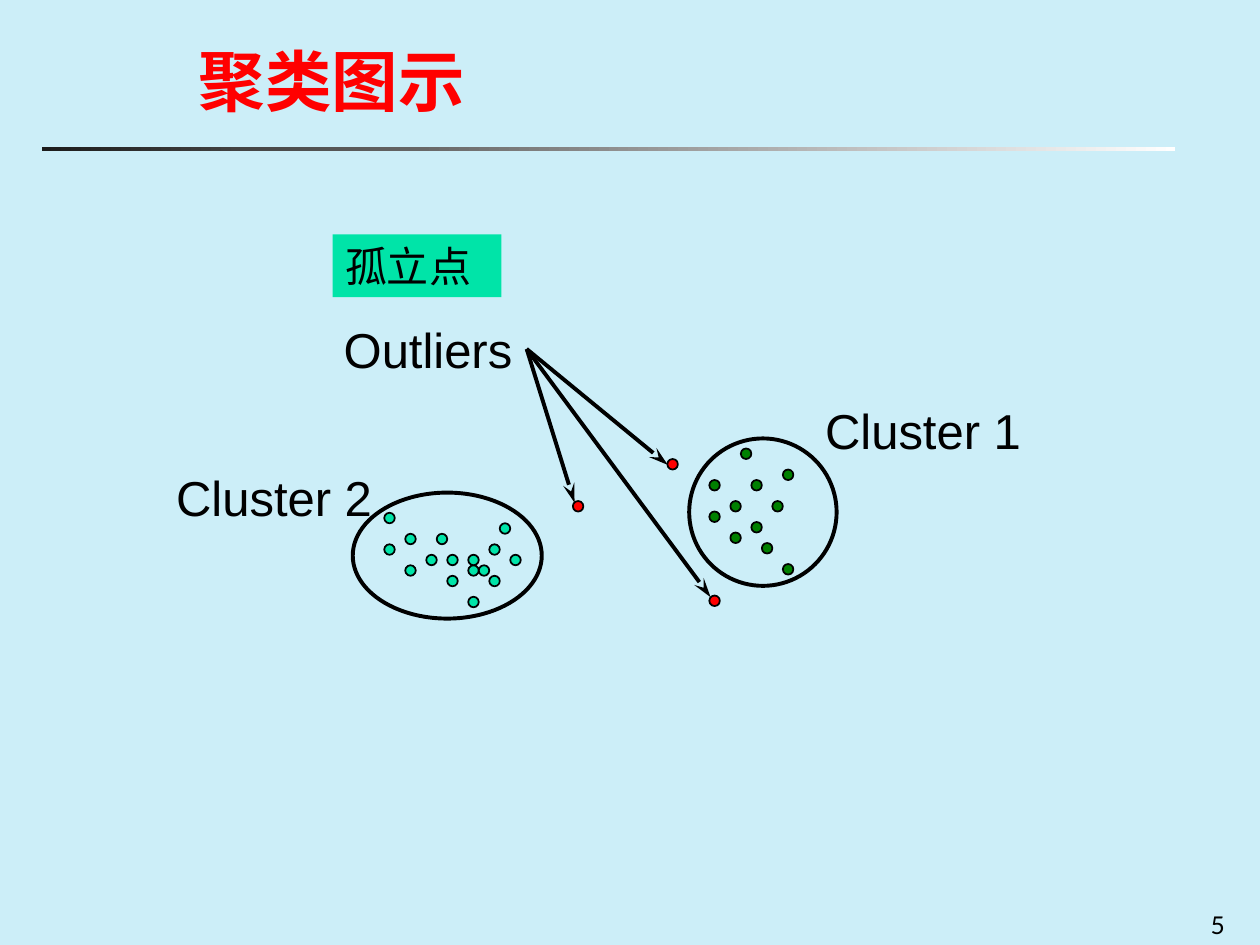
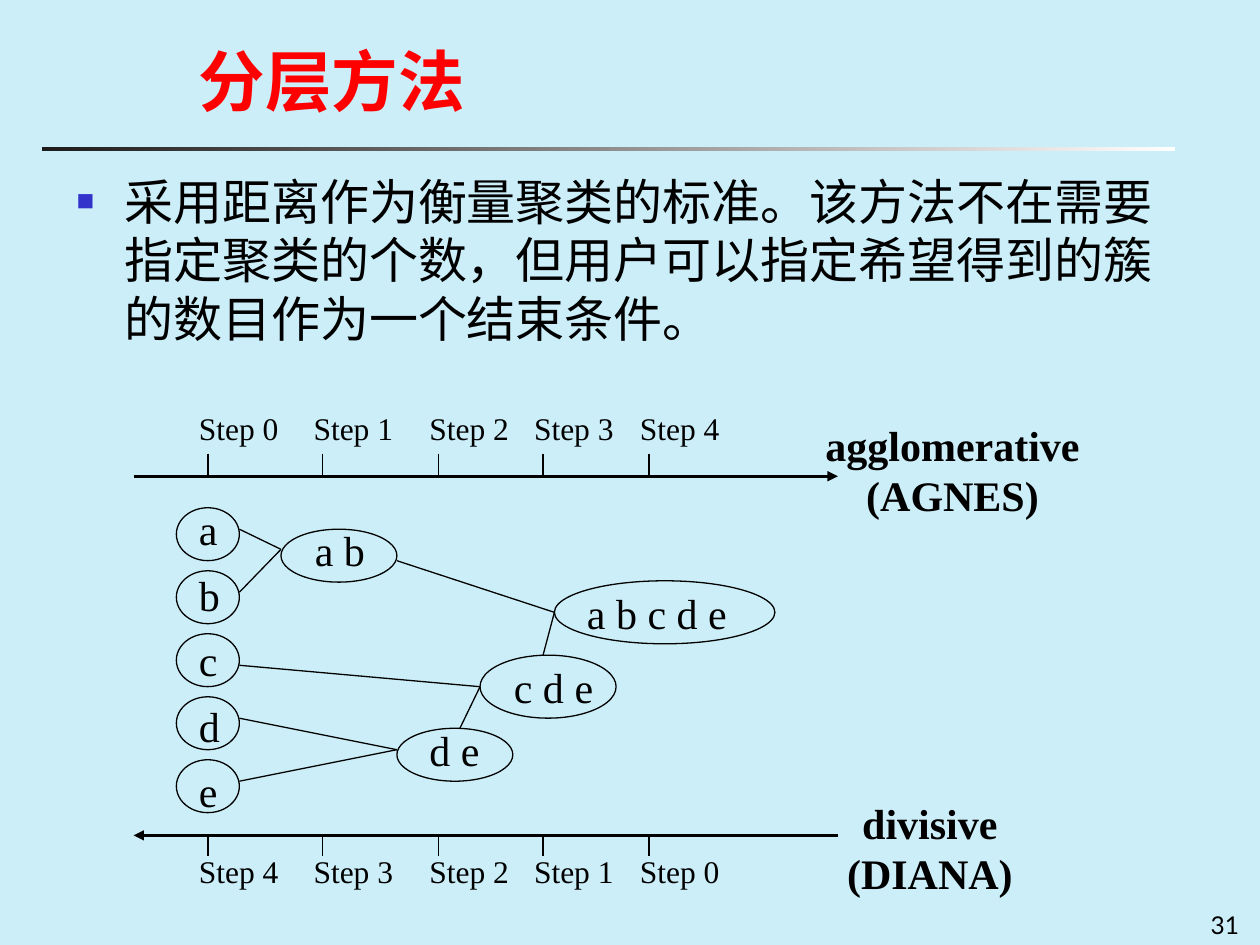
from lxml.etree import SubElement
from pptx import Presentation
from pptx.dml.color import RGBColor
from pptx.enum.shapes import MSO_CONNECTOR, MSO_SHAPE
from pptx.enum.text import MSO_ANCHOR, PP_ALIGN
from pptx.oxml.ns import qn
from pptx.util import Inches, Pt

COLORS = {
    "background": "CCEEF8",
    "title": "FF0000",
    "ink": "000000",
    "rule_start": "1C1C1C",
    "rule_end": "FFFFFF",
    "bullet": "3333CC",
    "cluster_1": "008000",
    "cluster_2": "00E4A8",
    "outlier": "FF0000",
}
CJK, SANS, SERIF, NUMBER = "Noto Sans CJK SC", "Arial", "Times New Roman", "Lato"

DOT = 1 / 12  # dot diameter, and the pitch of the dot grid
# Dots as (column, row) on the grid, counted from the origin of their group
CLUSTER_1 = [(0, 6), (2, 8), (2, 5), (4, 7), (0, 3), (4, 3), (6, 5),
             (5, 9), (7, 2), (3, 0), (7, 11)]
OUTLIERS = [(0, 14), (-4, 1), (-13, 5)]
CLUSTER_2 = [(0, 0), (0, 3), (2, 2), (2, 5), (4, 4), (6, 4), (5, 2), (8, 5),
             (8, 4), (6, 6), (10, 6), (9, 5), (10, 3), (12, 4), (11, 1), (8, 8)]

STEP_TICKS = [1.65, 2.56, 3.48, 4.31, 5.15]
# Label, its left and top, then the ellipse around it
MERGED_GROUPS = [
    ("a b", 2.4, 4.11, (2.23, 4.2, 0.92, 0.42)),
    ("d e", 3.31, 5.7, (3.15, 5.78, 0.92, 0.42)),
    ("c d e", 3.98, 5.2, (3.81, 5.2, 1.08, 0.5)),
    ("a b c d e", 4.56, 4.61, (4.4, 4.61, 1.75, 0.5)),
]
# Where each merged group is reached, and where its parts start
MERGES = {
    (2.23, 4.36): [(1.9, 4.2), (1.9, 4.7)],
    (3.15, 5.95): [(1.9, 5.7), (1.9, 6.2)],
    (3.81, 5.45): [(1.9, 5.28), (3.65, 5.78)],
    (4.4, 4.86): [(3.15, 4.45), (4.31, 5.2)],
}


def color(name):
    return RGBColor.from_string(COLORS[name])


def write(box, text, size, font, ink="ink", bold=False, align=PP_ALIGN.LEFT):
    """Fill a shape with text; each line of text becomes a paragraph."""
    box.text_frame.text = text
    for para in box.text_frame.paragraphs:
        para.alignment = align
        para.line_spacing = Pt(1.2 * size)
        for span in para.runs:
            span.font.name = font
            span.font.size = Pt(size)
            span.font.bold = bold
            span.font.color.rgb = color(ink)
            east_asian = SubElement(span.font._element, qn("a:ea"))
            east_asian.set("typeface", CJK)


def add_text(page, area, text, size, font, wrap=False, **style):
    box = page.shapes.add_textbox(*map(Inches, area))
    box.text_frame.word_wrap = wrap
    write(box, text, size, font, **style)
    return box


def add_preset(page, kind, area, fill=None, line_width=None):
    shape = page.shapes.add_shape(kind, *map(Inches, area))
    shape.shadow.inherit = False
    if fill:
        shape.fill.solid()
        shape.fill.fore_color.rgb = color(fill)
    else:
        shape.fill.background()
    if line_width:
        shape.line.color.rgb = color("ink")
        shape.line.width = Pt(line_width)
    else:
        shape.line.fill.background()
    return shape


def add_ellipse(page, area, line_width, fill=None):
    return add_preset(page, MSO_SHAPE.OVAL, area, fill, line_width)


def add_dots(page, origin, cells, fill):
    left, top = origin
    for column, row in cells:
        area = (left + column * DOT, top + row * DOT, DOT, DOT)
        add_ellipse(page, area, 1, fill)


def add_line(page, start, end, width, arrowhead=None, head_length="med"):
    """Draw a line; an arrowhead, if named, sits at its end."""
    line = page.shapes.add_connector(
        MSO_CONNECTOR.STRAIGHT, *map(Inches, (*start, *end)))
    line.line.color.rgb = color("ink")
    line.line.width = Pt(width)
    if arrowhead:
        head = SubElement(line.line._get_or_add_ln(), qn("a:tailEnd"))
        head.set("type", arrowhead)
        head.set("len", head_length)
    SubElement(line._element.spPr, qn("a:effectLst"))


def add_bullet(box):
    """Give the first paragraph a square bullet with a hanging indent."""
    properties = box.text_frame.paragraphs[0]._p.get_or_add_pPr()
    properties.set("marL", str(Inches(0.38)))
    properties.set("indent", str(-Inches(0.38)))
    bullet_color = SubElement(properties, qn("a:buClr"))
    SubElement(bullet_color, qn("a:srgbClr")).set("val", COLORS["bullet"])
    SubElement(properties, qn("a:buSzPct")).set("val", "60000")
    SubElement(properties, qn("a:buFont")).set("typeface", SANS)
    SubElement(properties, qn("a:buChar")).set("char", "■")


def add_page(deck, title, number):
    """Add a slide with the shared rule, title and page number."""
    page = deck.slides.add_slide(deck.slide_layouts[6])
    rule = add_preset(page, MSO_SHAPE.RECTANGLE, (0.33, 1.17, 9, 0.03))
    rule.fill.gradient()
    rule.fill.gradient_angle = 0
    for stop, name in zip(rule.fill.gradient_stops, ("rule_start", "rule_end")):
        stop.color.rgb = color(name)
    add_text(page, (9.51, 7.17, 0.49, 0.33), str(number), 14, NUMBER)
    heading = add_text(page, (1.48, 0, 8.52, 1), title, 38, CJK,
                       wrap=True, ink="title", bold=True)
    heading.text_frame.vertical_anchor = MSO_ANCHOR.BOTTOM
    return page


def add_time_axis(page, start, end, tick_top, label_top, steps):
    add_line(page, start, end, 1.5, "triangle")
    for x, step in zip(STEP_TICKS, steps):
        add_line(page, (x, tick_top), (x, tick_top + 0.17), 0.75)
        add_text(page, (x - 0.17, label_top, 0.83, 0.4), f"Step {step}", 18, SERIF, wrap=True)


def build_cluster_page(deck):
    page = add_page(deck, "聚类图示", 5)
    add_dots(page, (5.63, 3.56), CLUSTER_1, "cluster_1")
    add_dots(page, (5.63, 3.56), OUTLIERS, "outlier")
    add_dots(page, (3.05, 4.07), CLUSTER_2, "cluster_2")
    add_ellipse(page, (5.47, 3.48, 1.17, 1.17), 2.25)
    add_ellipse(page, (2.8, 3.91, 1.5, 1), 2.25)
    add_text(page, (6.45, 3.13, 1.76, 0.57), "Cluster 1", 28, SANS)
    add_text(page, (1.3, 3.66, 1.76, 0.57), "Cluster 2", 28, SANS)
    add_text(page, (2.63, 2.49, 1.54, 0.57), "Outliers", 28, SANS)
    for outlier in [(5.3, 3.69), (4.56, 3.99), (5.64, 4.74)]:
        add_line(page, (4.18, 2.77), outlier, 2.25, "stealth", "lg")
    tag = add_preset(page, MSO_SHAPE.RECTANGLE, (2.64, 1.86, 1.34, 0.5), "cluster_2")
    tag.text_frame.vertical_anchor = MSO_ANCHOR.MIDDLE
    write(tag, "孤立点", 24, NUMBER)


def build_hierarchy_page(deck):
    page = add_page(deck, "分层方法", 31)
    body = add_text(
        page, (0.51, 1.31, 9.08, 5.33),
        "采用距离作为衡量聚类的标准。该方法不在需要指定聚类的个数，"
        "但用户可以指定希望得到的簇的数目作为一个结束条件。",
        28, CJK, wrap=True)
    add_bullet(body)

    add_time_axis(page, (1.06, 3.78), (6.65, 3.78), 3.6, 3.2, range(5))
    add_time_axis(page, (6.65, 6.63), (1.06, 6.63), 6.62, 6.71, range(4, -1, -1))

    for row, letter in enumerate("abcde"):
        add_text(page, (1.48, 3.95 + 0.52 * row, 0.37, 0.5), letter, 24, SERIF)
        add_ellipse(page, (1.4, 4.03 + 0.5 * row, 0.5, 0.42), 0.75)
    for label, left, top, outline in MERGED_GROUPS:
        add_text(page, (left, top, outline[2] - 0.2, 0.5), label, 24, SERIF)
        add_ellipse(page, outline, 0.75)
    for target, sources in MERGES.items():
        for source in sources:
            add_line(page, source, target, 0.75)

    for area, text in [((6.45, 3.28, 2.22, 0.9), "agglomerative\n(AGNES)"),
                       ((6.62, 6.28, 1.52, 0.9), "divisive\n(DIANA)")]:
        add_text(page, area, text, 24, SERIF, bold=True, align=PP_ALIGN.CENTER)


def main():
    deck = Presentation()
    deck.slide_width, deck.slide_height = Inches(10), Inches(7.5)
    backdrop = deck.slide_master.background.fill
    backdrop.solid()
    backdrop.fore_color.rgb = color("background")
    build_cluster_page(deck)
    build_hierarchy_page(deck)
    deck.save("out.pptx")


if __name__ == "__main__":
    main()
